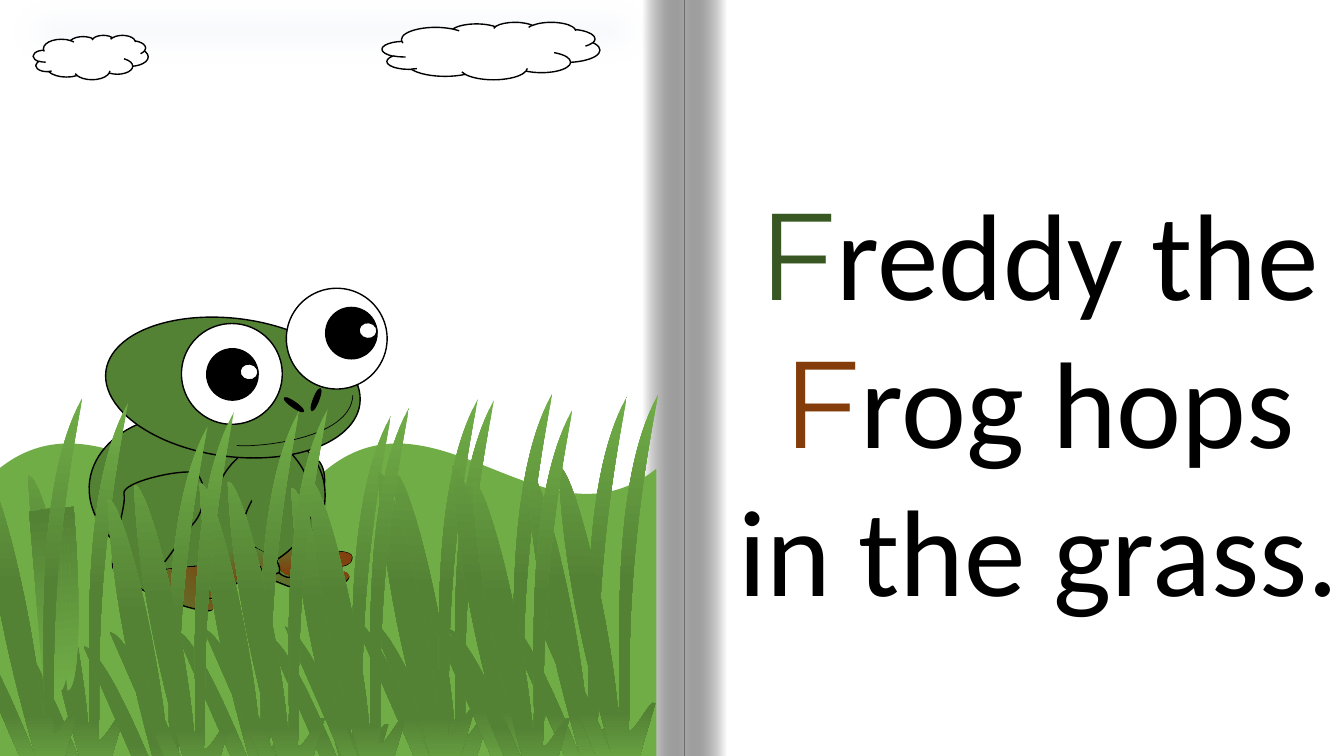
from pptx import Presentation, util as u
from pptx.dml.color import RGBColor
from pptx.enum import shapes, text
from pptx.oxml import parse_xml
from pptx.oxml.ns import nsdecls, qn

W, H = 13.33, 7.5
GUTTER = 6.79
C = {"white": "FFFFFF", "black": "000000", "sky": "DAE3F3", "meadow": "70AD47",
     "frog": "548235", "foot": "843C0B", "leaf": "385723"}
SHADE = [(0, "white", 100), (100, "black", 34)]
GRASS = ([(0, "meadow", 100), (49, "frog", 100), (83, "frog", 100), (100, "meadow", 100)], 90)
HIND_TOES = ([(0, "foot", 100), (100, "frog", 100)], 139)
FRONT_TOES = ([(1, "frog", 100), (100, "foot", 100)], 90)

HIND_LEG = """3.13,5.04; 3.26,4.88,3.24,4.6,3.13,4.55; 3.01,4.51,2.4,4.64,2.43,4.76;
2.46,4.88,2.29,5.33,2.32,5.49; 2.35,5.66,3.22,5.98,3.3,5.91; 3.39,5.75,2.94,5.78,3.04,5.77;
3.13,5.76,3.43,5.86,3.46,5.72; 3.46,5.64,3.03,5.66,3.11,5.63; 3.2,5.6,3.49,5.67,3.49,5.53;
3.49,5.39,2.69,5.55,2.76,5.51; 2.83,5.47,2.99,5.2,3.13,5.04"""
HIND_FOOT = """3.42,5.48; 3.46,5.49,3.49,5.5,3.49,5.53; 3.49,5.66,3.21,5.6,3.13,5.63;
3.05,5.66,3.46,5.63,3.46,5.71; 3.43,5.85,3.14,5.75,3.05,5.76; 2.97,5.77,3.39,5.74,3.31,5.9;
3.26,5.94,2.92,5.83,2.66,5.71; 2.64,5.7; 2.85,5.52; 2.87,5.51; 3.01,5.5,3.29,5.46,3.42,5.48"""
ARM = """3.03,4.45; 2.66,4.09,2.4,4.12,2.35,4.17; 2.31,4.21,2.73,4.47,2.77,4.7;
3.28,5.44,2.53,5.27,2.59,5.56; 2.73,5.63,2.75,5.48,2.78,5.47; 2.82,5.46,2.62,5.67,2.86,5.73;
2.97,5.73,2.9,5.5,2.95,5.5; 2.97,5.5,2.93,5.73,3.13,5.68; 3.23,5.66,3.09,5.54,3.13,5.52;
3.17,5.5,3.27,5.59,3.3,5.43; 3.29,5.4,3.15,5.45,3.14,5.35; 3.14,5.25,3.39,4.81,3.03,4.45"""
HAND = """2.81,5.32; 3.16,5.35; 3.16,5.36; 3.2,5.41,3.3,5.38,3.31,5.41;
3.28,5.57,3.18,5.48,3.14,5.5; 3.1,5.52,3.25,5.64,3.14,5.66; 2.95,5.71,2.99,5.47,2.97,5.48;
2.92,5.48,2.98,5.7,2.88,5.71; 2.65,5.65,2.85,5.44,2.8,5.45; 2.77,5.46,2.76,5.61,2.62,5.54;
2.6,5.43,2.69,5.39,2.78,5.34; 2.81,5.32"""
SMILE = "3.5,3.92; 3.48,4.37,2.51,4.44,2.35,4.42"
BLADE = """0.24,0.72; 0.38,0.7,0.75,2.17,0.84,3.24; 0.88,2.79,0.71,0.94,1.23,0;
0.84,1.98,0.98,3.05,0.93,3.33; 0.98,3.41,1.15,3,1.2,3.07; 1,3.74; 0.71,3.8;
0.52,3.37,0.09,2.39,0,2.18; 0.2,2.24,0.55,3.03,0.78,3.62; 0.62,3.05,0.29,1.92,0.24,0.72"""
BLADES = [(0.83, 4.23), (1.74, 4.07), (2.65, 4.12), (3.51, 3.96), (4.25, 3.9), (4.99, 3.93),
          (5.3, 3.91), (4.45, 4.06), (2.83, 4.04), (2.02, 4.06), (1.09, 4.09), (-0.41, 3.94)]
STALKS = [(0.31, 3.23), (0.23, 3.24), (0.11, 3.26), (0.19, 3.24), (0.15, 3.25), (0.08, 3.26)]


def paint(sp, fill, line=None, width=1):
    """Give a shape a solid, gradient or empty fill and an optional line."""
    sp.shadow.inherit = False
    if isinstance(fill, str):
        sp.fill.solid()
        sp.fill.fore_color.rgb = RGBColor.from_string(C[fill])
    else:
        sp.fill.background()
    if fill and not isinstance(fill, str):
        stops, angle = fill
        marks = "".join(
            f'<a:gs pos="{pos * 1000}"><a:srgbClr val="{C[name]}">'
            f'<a:alpha val="{alpha * 1000}"/></a:srgbClr></a:gs>' for pos, name, alpha in stops)
        spPr = sp._element.spPr
        spPr.replace(spPr.find(qn("a:noFill")), parse_xml(
            f'<a:gradFill {nsdecls("a")} rotWithShape="1"><a:gsLst>{marks}</a:gsLst>'
            f'<a:lin ang="{angle * 60000}" scaled="0"/></a:gradFill>'))
    if line:
        sp.line.color.rgb = RGBColor.from_string(C[line])
        sp.line.width = u.Pt(width)
    else:
        sp.line.fill.background()
    return sp


def preset(slide, page, kind, at, fill, line=None, rot=0):
    """Place a preset shape relative to the corner of a page."""
    x, y, w, h = at
    sp = slide.shapes.add_shape(kind, u.Inches(page[0] + x), u.Inches(page[1] + y),
                                u.Inches(w), u.Inches(h))
    sp.rotation = rot
    return paint(sp, fill, line)


def steps(shape, move):
    """Read the steps of an outline as lists of moved points in thousandths."""
    result = []
    for step in shape.split(";"):
        n = [float(v) for v in step.split(",")]
        moved = [move(x, y) for x, y in zip(n[::2], n[1::2])]
        result.append([(round(x * 1000), round(y * 1000)) for x, y in moved])
    return result


def outline(slide, page, shape, fill, line=None, width=1, move=lambda x, y: (x, y), close=True):
    """Draw a free outline of lines and cubic curves relative to the corner of a page."""
    first, *rest = steps(shape, move)
    anchors = [first[0]] + [step[-1] for step in rest]
    builder = slide.shapes.build_freeform(*anchors[0], scale=914.4)
    builder.add_line_segments(anchors[1:], close=close)
    sp = builder.convert_to_shape(u.Inches(page[0]), u.Inches(page[1]))
    left, top = (min(axis) for axis in zip(*anchors))
    lines = list(sp._element.spPr.iter(qn("a:lnTo")))
    for straight, step in zip(lines, rest):
        if len(step) == 3:
            points = "".join(f'<a:pt x="{x - left}" y="{y - top}"/>' for x, y in step)
            straight.getparent().replace(straight, parse_xml(
                f'<a:cubicBezTo {nsdecls("a")}>{points}</a:cubicBezTo>'))
    return paint(sp, fill, line, width)


def book(slide, page):
    """Draw the white spread and the shaded fold in its middle."""
    rect, fold = shapes.MSO_SHAPE.RECTANGLE, 0.42
    preset(slide, page, rect, (0, 0, W, H), "white")
    preset(slide, page, rect, (GUTTER, 0, fold, H), (SHADE, 180))
    preset(slide, page, rect, (GUTTER - fold, 0, fold, H), (SHADE, 0))


def story(slide, page):
    """Write the sentence with its coloured initials."""
    x, y, w, h = page
    box = slide.shapes.add_textbox(u.Inches(x), u.Inches(y), u.Inches(w), u.Inches(h))
    tf = box.text_frame
    tf.word_wrap = True
    tf.auto_size = text.MSO_AUTO_SIZE.SHAPE_TO_FIT_TEXT
    p = tf.paragraphs[0]
    p.alignment = text.PP_ALIGN.CENTER
    for words, font, color in (("F", "Montserrat", "leaf"), ("reddy the ", "Calibri", "black"),
                               ("F", "Montserrat", "foot"),
                               ("rog hops in the grass.", "Calibri", "black")):
        r = p.add_run()
        r.text = words
        r.font.size, r.font.name = u.Pt(88), font
        r.font.color.rgb = RGBColor.from_string(C[color])


def scenery(slide, page):
    """Draw the soft sky, two clouds and the hills."""
    kind = shapes.MSO_SHAPE
    sky = preset(slide, page, kind.RECTANGLE, (-0.05, -0.12, 6.67, 0.85), "sky", "sky")
    sky._element.spPr.find(qn("a:effectLst")).append(
        parse_xml(f'<a:softEdge {nsdecls("a")} rad="317500"/>'))
    for at in ((0.33, 0.35, 1.14, 0.44), (3.79, 0.22, 2.16, 0.57)):
        preset(slide, page, kind.CLOUD, at, "white", "black")
    preset(slide, page, kind.DOUBLE_WAVE, (-0.01, 4.39, 6.52, 4.16), "meadow")


def frog(slide, page):
    """Draw the frog from its far limbs to its eyes."""
    def oval(at, fill="frog", line="black", rot=7.4):
        preset(slide, page, shapes.MSO_SHAPE.OVAL, at, fill, line, rot)

    def hind(move):
        outline(slide, page, HIND_LEG, "frog", "black", move=move)
        outline(slide, page, HIND_FOOT, HIND_TOES, move=move)

    def shift(x, y):
        return x - 1.2, y + 0.14

    def mirror(x, y):
        return 5.36 - x, y + 0.12

    hind(lambda x, y: (x, y))
    outline(slide, page, ARM, "frog", "black")
    oval((2.54, 4.43, 0.4, 0.66), line=None, rot=6.4)
    outline(slide, page, HAND, FRONT_TOES)
    oval((0.88, 4.11, 2.22, 1.61))
    hind(shift)
    outline(slide, page, ARM, "frog", "black", move=mirror)
    outline(slide, page, HAND, FRONT_TOES, move=mirror)
    oval((2.45, 4.44, 0.4, 0.66), line=None, rot=355.1)
    oval((1.04, 3.16, 2.54, 1.37))
    for x, y, dx, dy in ((2.84, 2.86, 0.39, 0.19), (1.8, 3.21, 0.25, 0.25)):
        oval((x, y, 1, 1), "white")
        oval((x + dx, y + dy, 0.51, 0.51), "black")
        oval((x + dx + 0.33, y + dy + 0.15, 0.18, 0.16), "white")
    for x, y, rot in ((2.8, 3.99, 35), (3.02, 3.94, 291.1)):
        oval((x, y, 0.23, 0.05), "black", rot=rot)
    outline(slide, page, SMILE, None, "black", 0.5, close=False)


def grass(slide, page):
    """Draw the blades of grass and a clump of stalks in front of the frog."""
    def blade(left, top):
        outline(slide, page, BLADE, GRASS, move=lambda x, y: (x + left, y + top))

    blade(0.04, 4)
    blade(3.67, 3.97)
    for x, y in STALKS:
        stalk = preset(slide, page, shapes.MSO_SHAPE.ARC, (x, y, 0.42, 3.63), GRASS, rot=175.3)
        stalk._element.spPr.find(qn("a:xfrm")).set("flipH", "1")
    for left, top in BLADES:
        blade(left, top)


def main():
    """Build the storybook spread and save it."""
    prs = Presentation()
    prs.slide_width, prs.slide_height = u.Inches(W), u.Inches(H)
    slide = prs.slides.add_slide(prs.slide_layouts[6])
    slide.background.fill.solid()
    slide.background.fill.fore_color.rgb = RGBColor.from_string(C["black"])
    left_page = (0, 0, GUTTER, H)
    book(slide, (0, 0, W, H))
    story(slide, (7.16, 1.71, 6.28, 4.54))
    for region in (scenery, frog, grass):
        region(slide, left_page)
    prs.save("out.pptx")


if __name__ == "__main__":
    main()
